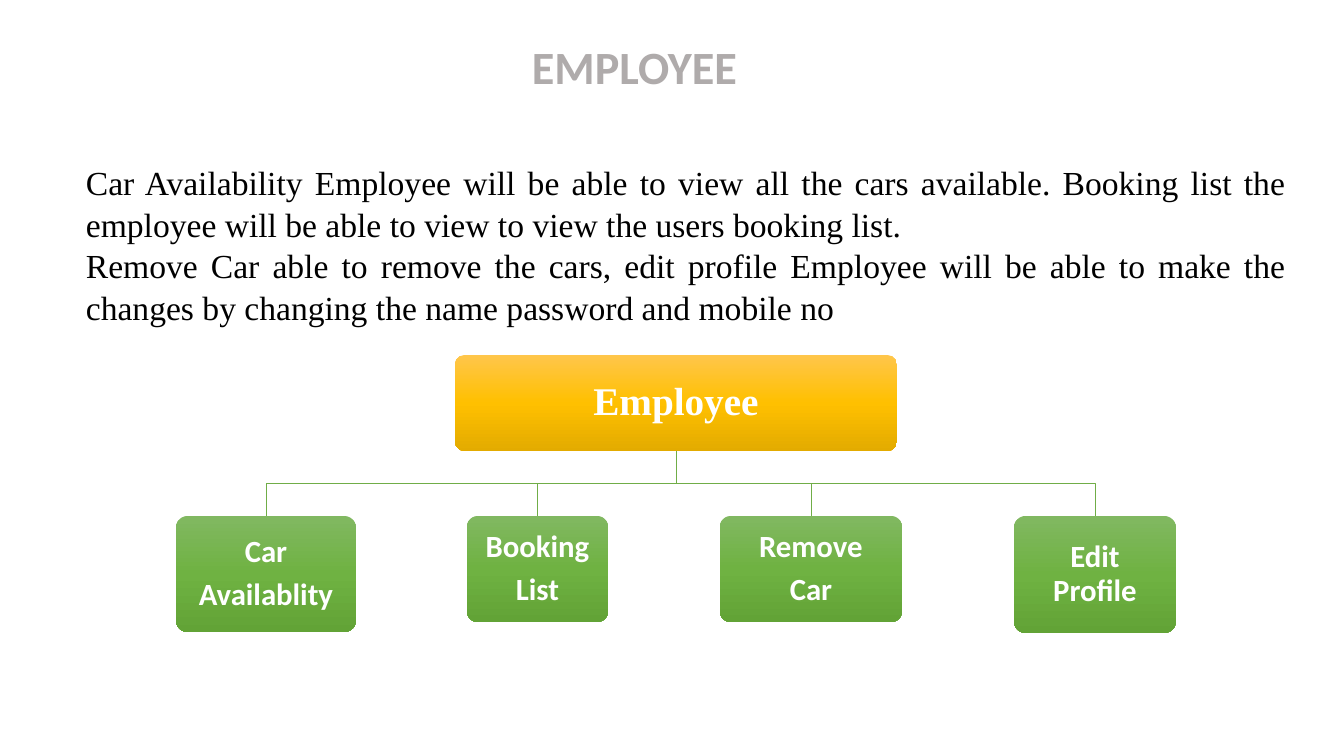
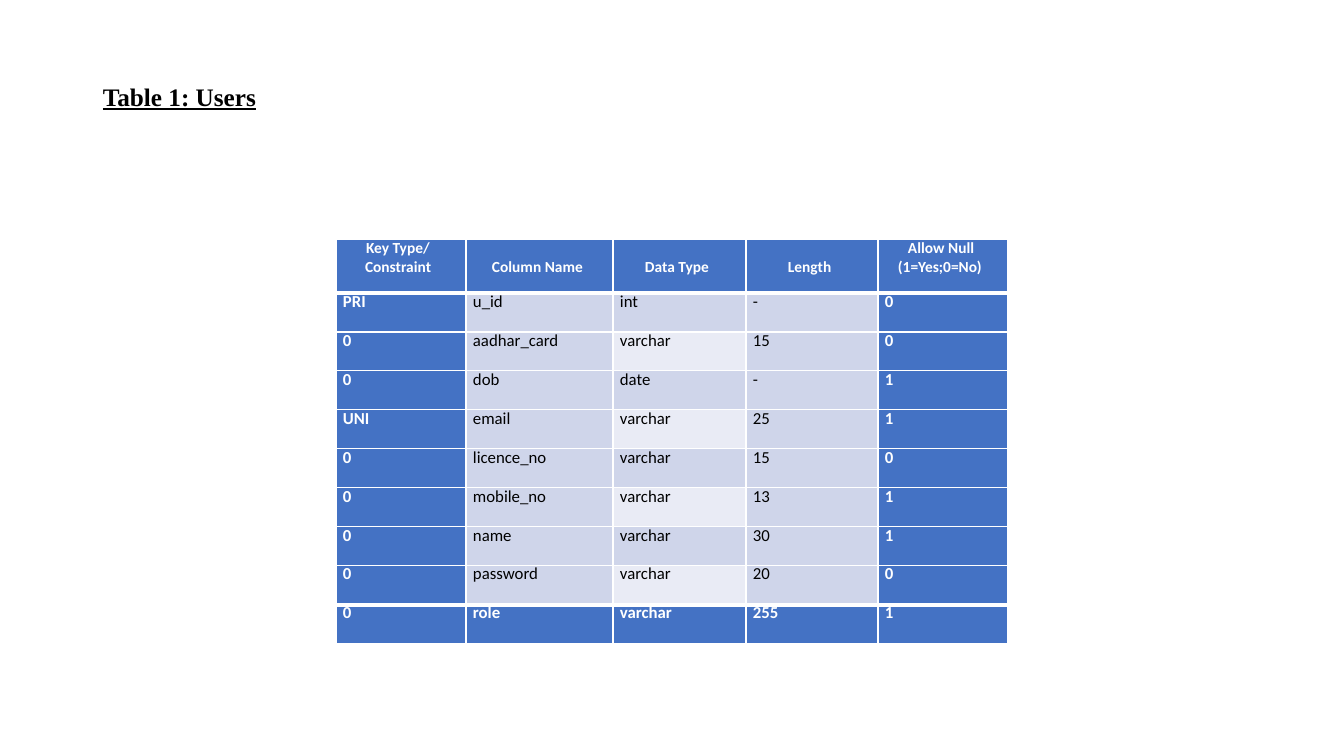
"""Builds two slides: the employee module chart and the users table."""
from copy import deepcopy
from lxml.etree import SubElement
from pptx import Presentation
from pptx.dml.color import RGBColor
from pptx.enum.shapes import MSO_SHAPE as Preset
from pptx.enum.text import MSO_ANCHOR as Anchor, PP_ALIGN as Align
from pptx.oxml.ns import qn
from pptx.util import Pt

SERIF, SANS = "Times New Roman", "Calibri"
WHITE, BLACK, GREY = "FFFFFF", "000000", "AFABAB"
BLUE, PALE, PALER = "4472C4", "CFD5EA", "E9EBF5"
GREEN_LINE = "70AD47"
GOLD_SHADES = ("FFC64B", "FFC000", "E3AB00")
GREEN_SHADES = ("81B861", "6FB242", "62A336")
EMU_PER_PX = 914400 / 100.8
color = RGBColor.from_string


def px(*lengths):
    """Turn px lengths into EMU."""
    return [round(length * EMU_PER_PX) for length in lengths]


def write(frame, lines, font, para=None, **box):
    """Fill a text frame with one paragraph per line and format it."""
    for key, value in {"word_wrap": True, **box}.items():
        setattr(frame, key, value)
    for number, line in enumerate(lines):
        paragraph = frame.add_paragraph() if number else frame.paragraphs[0]
        for key, value in (para or {}).items():
            setattr(paragraph, key, value)
        run = paragraph.add_run()
        run.text = line
        for key, value in font.items():
            if key == "color":
                run.font.color.rgb = color(value)
            else:
                setattr(run.font, key, value)


deck = Presentation()
deck.slide_width, deck.slide_height = px(1344, 756)
blank = deck.slide_layouts[6]

employee = deck.slides.add_slide(blank)
root_left, root_top, root_width, root_height = 455, 355, 442, 96
root_center, root_bottom = root_left + root_width // 2, root_top + root_height
leaf_top = 516
bus_y = (root_bottom + leaf_top) // 2
root_font = {"name": SERIF, "size": Pt(28), "bold": True, "color": WHITE}
leaf_font = {"name": SANS, "size": Pt(22), "bold": True, "color": WHITE}
leaves = [
    (176, 180, 116, ["Car", "Availablity"]),
    (467, 141, 106, ["Booking", "List"]),
    (720, 182, 106, ["Remove", "Car"]),
    (1014, 162, 117, ["Edit Profile"]),
]
modules = [(root_left, root_top, root_width, root_height, ["Employee"], root_font, GOLD_SHADES)]
for left, width, height, lines in leaves:
    modules.append((left, leaf_top, width, height, lines, leaf_font, GREEN_SHADES))
    leaf_center = left + width // 2
    outline = employee.shapes.build_freeform(root_center, root_bottom, scale=EMU_PER_PX)
    outline.add_line_segments(
        [(root_center, bus_y), (leaf_center, bus_y), (leaf_center, leaf_top)], close=False)
    branch = outline.convert_to_shape()
    branch.shadow.inherit = False
    branch.fill.background()
    branch.line.color.rgb = color(GREEN_LINE)
    branch.line.width = Pt(0.5)

for left, top, width, height, lines, font, shades in modules:
    module = employee.shapes.add_shape(Preset.ROUNDED_RECTANGLE, *px(left, top, width, height))
    module.adjustments[0] = 0.1
    module.shadow.inherit = False
    module.line.fill.background()
    module.fill.gradient()
    module.fill.gradient_angle = 270
    stop_list = module._element.spPr.find(qn("a:gradFill")).find(qn("a:gsLst"))
    stop_list.append(deepcopy(stop_list[0]))
    for stop, position, shade in zip(module.fill.gradient_stops, (0, 0.5, 1), shades):
        stop.position = position
        stop.color.rgb = color(shade)
    inset, = px(10)
    write(module.text_frame, lines, font,
          {"alignment": Align.CENTER, "line_spacing": 0.9, "space_after": Pt(7)},
          vertical_anchor=Anchor.MIDDLE, margin_left=inset, margin_right=inset,
          margin_top=inset, margin_bottom=inset)

description = employee.shapes.add_textbox(*px(76, 155, 1220, 214))
write(description.text_frame, [
    "Car Availability Employee will be able to view all the cars available. "
    "Booking list the employee will be able to view to view the users booking list.",
    "Remove Car able to remove the cars, edit profile Employee will be able to make "
    "the changes by changing the name password and mobile no",
], {"name": SERIF, "size": Pt(24), "color": BLACK},
    {"alignment": Align.JUSTIFY, "line_spacing": 1.04})

heading = employee.shapes.add_textbox(*px(522, 33, 328, 67))
write(heading.text_frame, ["EMPLOYEE"],
      {"name": SANS, "size": Pt(33), "bold": True, "color": GREY})

users = deck.slides.add_slide(blank)
caption = users.shapes.add_textbox(*px(93, 40, 1159, 146))
write(caption.text_frame, ["Table 1: Users"],
      {"name": SERIF, "size": Pt(18), "bold": True, "underline": True, "color": BLACK},
      {"line_spacing": 0.9}, vertical_anchor=Anchor.MIDDLE, margin_bottom=px(35)[0])

headers = [
    ("Key Type/ Constraint", 29, 1, 0),
    ("Column Name", 26, 0, 19),
    ("Data Type", 32, 0, 19),
    ("Length", 42, 0, 19),
    ("Allow Null (1=Yes;0=No)", 20, 10, 0),
]
fields = [
    ("PRI", "u_id", "int", "-", "0"),
    ("0", "aadhar_card", "varchar", "15", "0"),
    ("0", "dob", "date", "-", "1"),
    ("UNI", "email", "varchar", "25", "1"),
    ("0", "licence_no", "varchar", "15", "0"),
    ("0", "mobile_no", "varchar", "13", "1"),
    ("0", "name", "varchar", "30", "1"),
    ("0", "password", "varchar", "20", "0"),
    ("0", "role", "varchar", "255", "1"),
]
column_widths = [130, 147, 133, 132, 130]
header_height, field_height = 54, 39
last_row, last_column = len(fields), len(headers) - 1
grid = users.shapes.add_table(
    len(fields) + 1, len(headers),
    *px(336, 239, sum(column_widths), header_height + field_height * len(fields))).table
grid.first_row = grid.horz_banding = False
for column, width in zip(grid.columns, px(*column_widths)):
    column.width = width
for number, row in enumerate(grid.rows):
    row.height, = px(field_height if number else header_height)
    heavy_edges = {0: ["lnB"], 1: ["lnT"], last_row - 1: ["lnB"], last_row: ["lnT"]}.get(number, [])
    for index, cell in enumerate(row.cells):
        properties = cell._tc.get_or_add_tcPr()
        for edge in ("lnL", "lnR", "lnT", "lnB"):
            border = SubElement(properties, qn(f"a:{edge}"), w=str(Pt(3 if edge in heavy_edges else 1)))
            SubElement(SubElement(border, qn("a:solidFill")), qn("a:srgbClr"), val=WHITE)
        emphasised = number in (0, last_row) or index in (0, last_column)
        striped = index == 2 and number % 2 == 0
        cell.fill.solid()
        cell.fill.fore_color.rgb = color(BLUE if emphasised else PALER if striped else PALE)
        if number:
            text, indent, first_line, drop = fields[number - 1][index], 7, 0, 0
        else:
            text, indent, first_line, drop = headers[index]
        cell.margin_left, cell.margin_top, cell.margin_right, cell.margin_bottom = px(0, drop, 0, 0)
        write(cell.text_frame, [text],
              {"name": SANS, "size": Pt(12 if number else 11), "bold": emphasised,
               "color": WHITE if emphasised else BLACK},
              {"line_spacing": Pt(13.4) if number else 1.0})
        layout = cell.text_frame.paragraphs[0]._p.get_or_add_pPr()
        for key, length in zip(("marL", "indent"), px(indent, first_line)):
            layout.set(key, str(length))

deck.save("out.pptx")
